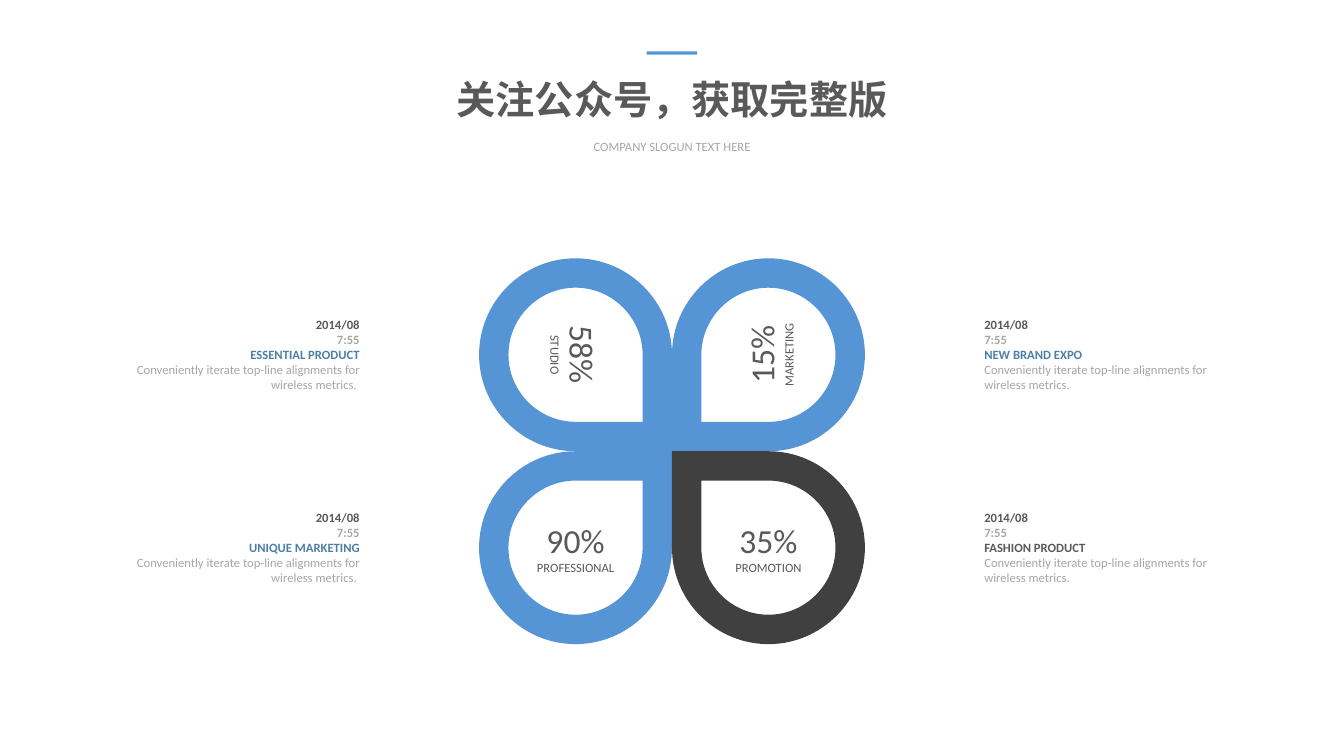
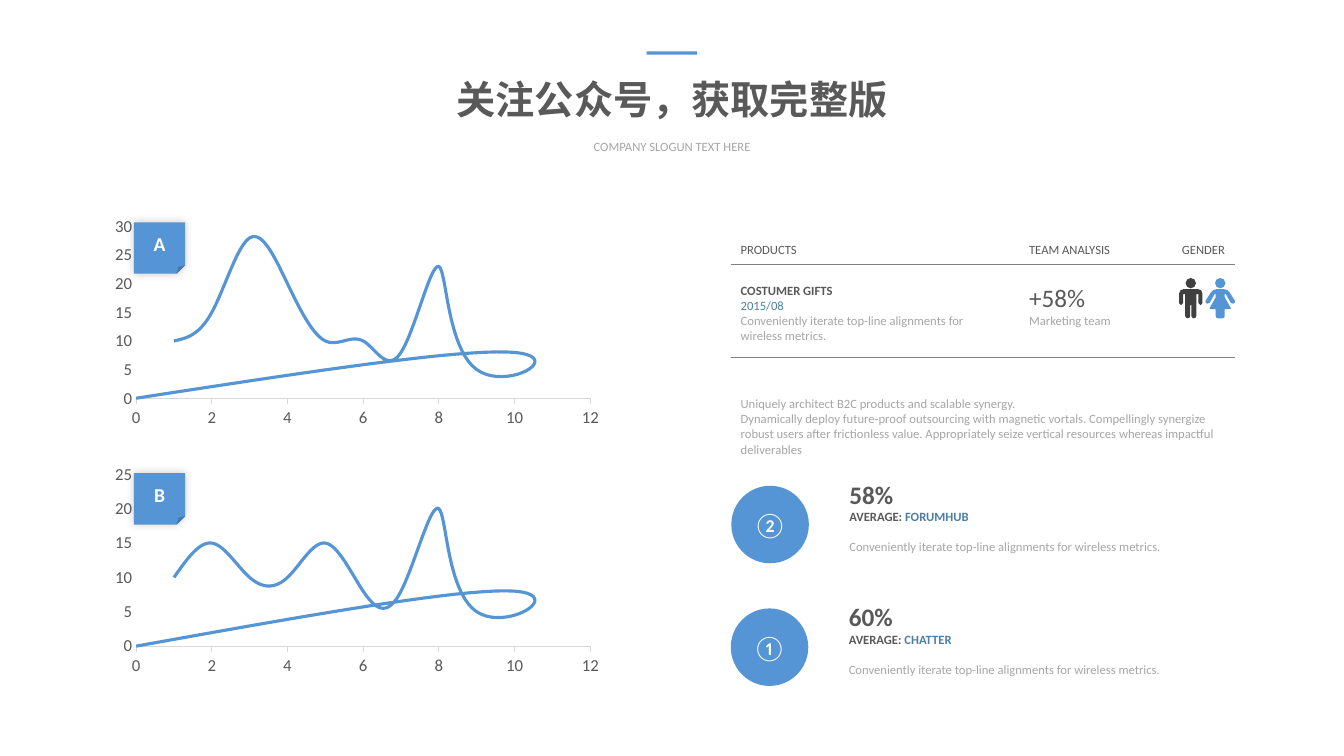
"""Build two slides: a four-petal infographic and a product analysis with charts."""
from dataclasses import dataclass
from typing import NamedTuple

from lxml.etree import SubElement
from pptx import Presentation
from pptx.chart.data import XyChartData
from pptx.dml.color import RGBColor
from pptx.enum.chart import XL_CHART_TYPE as ChartType, XL_TICK_MARK as Tick
from pptx.enum.shapes import MSO_CONNECTOR as Connector, MSO_SHAPE as Preset
from pptx.enum.text import MSO_ANCHOR as Anchor, MSO_AUTO_SIZE as AutoSize, PP_ALIGN as Align
from pptx.oxml.ns import qn
from pptx.util import Pt

FONT = "Calibri"
COLORS = {
    "blue": "5595D5",
    "accent": "4B7FA7",
    "charcoal": "404040",
    "text": "595959",
    "muted": "A6A6A6",
    "rule": "808080",
    "axis": "D9D9D9",
    "white": "FFFFFF",
    "black": "000000",
}
SLIDE_W, SLIDE_H = 960, 540
CENTER_X, CENTER_Y = 480, 322.3
PETAL, RING = 137.8, 21
ROUNDNESS = 0.55
BLURB = "Conveniently iterate top-line alignments for wireless metrics."

Segment = tuple[complex, ...]
Contour = list[Segment]


class Corner(NamedTuple):
    x: float
    y: float
    cut: float


@dataclass(frozen=True)
class Petal:
    column: int
    row: int
    percent: str
    label: str
    turn: int
    fill: str
    headline: str
    headline_color: str


@dataclass(frozen=True)
class Trend:
    letter: str
    top: float
    badge_top: float
    peak: int
    values: tuple[int, ...]


@dataclass(frozen=True)
class Average:
    left: float
    top: float
    number: str
    percent: str
    network: str


@dataclass(frozen=True)
class Person:
    center: float
    fill: str
    half_body: tuple[Corner, ...]


PETALS = (
    Petal(0, 0, "58%", "STUDIO", 90, "blue", "ESSENTIAL PRODUCT", "accent"),
    Petal(1, 0, "15%", "MARKETING", 270, "blue", "NEW BRAND EXPO", "accent"),
    Petal(0, 1, "90%", "PROFESSIONAL", 0, "blue", "UNIQUE MARKETING", "accent"),
    Petal(1, 1, "35%", "PROMOTION", 0, "charcoal", "FASHION PRODUCT", "text"),
)
TRENDS = (
    Trend("A", 151.5, 158.8, 30, (10, 15, 28, 20, 10, 10, 8, 23, 5, 8)),
    Trend("B", 328.6, 338, 25, (10, 15, 10, 10, 15, 8, 8, 20, 5, 8)),
)
AVERAGES = (
    Average(522.4, 347, "②", "58%", "FORUMHUB"),
    Average(522, 434.6, "①", "60%", "CHATTER"),
)
PEOPLE = (
    Person(850.6, "charcoal", (
        Corner(8.3, 8, 3), Corner(8.3, 19.4, 1.4), Corner(5.5, 19.4, 1.4), Corner(5.5, 11.5, 0),
        Corner(4, 11.5, 0), Corner(4, 28.8, 1.8), Corner(0.4, 28.8, 1.8), Corner(0.4, 19.4, 0),
    )),
    Person(871.6, "blue", (
        Corner(5.2, 8, 2.5), Corner(11.2, 17.4, 1.6), Corner(8.2, 19, 1.4), Corner(4, 11.5, 0),
        Corner(3.2, 11.5, 0), Corner(3.2, 13.7, 0), Corner(8, 22.3, 0.8), Corner(3.2, 22.3, 0),
        Corner(3.2, 28.8, 1.6),
    )),
)


def rgb(color: str) -> RGBColor:
    return RGBColor.from_string(COLORS[color])


def write(frame, text: str, *, size: float = 9, color: str = "text", bold: bool = False,
          align=Align.LEFT, before: float = 0, same_line: bool = False) -> None:
    if same_line or not frame.text:
        paragraph = frame.paragraphs[-1]
    else:
        paragraph = frame.add_paragraph()
    paragraph.alignment = align
    if before:
        paragraph.space_before = Pt(before)
    run = paragraph.add_run()
    run.text = text
    run.font.name = FONT
    run.font.size = Pt(size)
    run.font.bold = bold
    run.font.color.rgb = rgb(color)


def add_frame(slide, left: float, top: float, width: float, height: float, wrap: bool = True):
    frame = slide.shapes.add_textbox(Pt(left), Pt(top), Pt(width), Pt(height)).text_frame
    frame.word_wrap = wrap
    frame.auto_size = AutoSize.SHAPE_TO_FIT_TEXT
    return frame


def paint(shape, fill: str) -> None:
    shape.shadow.inherit = False
    shape.fill.solid()
    shape.fill.fore_color.rgb = rgb(fill)
    shape.line.fill.background()
    shape.text_frame.vertical_anchor = Anchor.MIDDLE


def add_preset(slide, preset, left: float, top: float, width: float, height: float):
    shape = slide.shapes.add_shape(preset, Pt(left), Pt(top), Pt(width), Pt(height))
    paint(shape, "blue")
    return shape


def add_rule(slide, left: float, right: float, y: float) -> None:
    rule = slide.shapes.add_connector(Connector.STRAIGHT, Pt(left), Pt(y), Pt(right), Pt(y))
    rule.line.color.rgb = rgb("rule")
    rule.line.width = Pt(0.25)
    SubElement(rule._element.spPr, qn("a:effectLst"))


def add_glow(shape) -> None:
    glow = SubElement(shape._element.spPr.find(qn("a:effectLst")), qn("a:outerShdw"),
                      blurRad=str(Pt(6)), dist="0", dir="18900000", algn="ctr", rotWithShape="0")
    tint = SubElement(glow, qn("a:srgbClr"), val=COLORS["black"])
    SubElement(tint, qn("a:alpha"), val="20000")


def rounded(corners: list[Corner]) -> Contour:
    tips = [complex(corner.x, corner.y) for corner in corners]
    contour: Contour = []
    for index, (tip, corner) in enumerate(zip(tips, corners)):
        if not corner.cut:
            contour.append((tip,))
            continue
        start, end = (
            tip + (other - tip) / abs(other - tip) * corner.cut
            for other in (tips[index - 1], tips[(index + 1) % len(tips)])
        )
        if not contour or abs(contour[-1][-1] - start) > 0.01:
            contour.append((start,))
        contour.append((start + (tip - start) * ROUNDNESS, end + (tip - end) * ROUNDNESS, end))
    return contour


def rounded_square(left: float, top: float, side: float, sharp: int = -1) -> Contour:
    places = ((0, 0), (1, 0), (1, 1), (0, 1))
    return rounded([
        Corner(left + x * side, top + y * side, 0 if index == sharp else side / 2)
        for index, (x, y) in enumerate(places)
    ])


def bend(shape, contours: list[Contour]) -> None:
    outline = next(shape._element.iter(qn("a:path")))
    nodes = iter(list(outline))
    for contour in contours:
        for segment in contour:
            steps = [next(nodes) for _ in segment]
            if len(steps) == 3:
                curve = outline.makeelement(qn("a:cubicBezTo"))
                steps[0].addprevious(curve)
                for step in steps:
                    curve.append(step[0])
                    outline.remove(step)
        next(nodes)


def add_outline(slide, contours: list[Contour], fill: str):
    builder = None
    for contour in contours:
        first, *rest = [(Pt(p.real), Pt(p.imag)) for segment in contour for p in segment]
        if builder is None:
            builder = slide.shapes.build_freeform(*first)
        else:
            builder.move_to(*first)
        builder.add_line_segments(rest, close=True)
    shape = builder.convert_to_shape()
    bend(shape, contours)
    paint(shape, fill)
    return shape


def add_heading(slide) -> None:
    add_preset(slide, Preset.RECTANGLE, CENTER_X - 18, 36.8, 36, 2.2)
    slogan = add_frame(slide, 416, 95.8, 128, 18, wrap=False)
    write(slogan, "COMPANY SLOGUN TEXT HERE", color="muted", align=Align.CENTER)
    title = add_frame(slide, 317.5, 50.4, 325, 41, wrap=False)
    write(title, "关注公众号，获取完整版", size=28, bold=True, align=Align.CENTER)


def add_petal(slide, petal: Petal) -> None:
    left = CENTER_X + (petal.column - 1) * PETAL
    top = CENTER_Y + (petal.row - 1) * PETAL
    sharp = 1 - petal.column
    leaf = add_outline(slide, [
        rounded_square(left, top, PETAL, sharp),
        rounded_square(left + RING, top + RING, PETAL - 2 * RING, sharp),
    ], petal.fill)
    leaf.rotation = petal.turn
    write(leaf.text_frame, petal.percent, size=24, align=Align.CENTER)
    write(leaf.text_frame, petal.label, align=Align.CENTER)

    event = add_frame(slide, (75.3, 696)[petal.column], 222.6 + petal.row * PETAL, 188.6, 62)
    align, ending = ((Align.RIGHT, " "), (Align.LEFT, ""))[petal.column]
    write(event, "2014/08", bold=True, align=align)
    write(event, "7:55", color="muted", bold=True, align=align)
    write(event, petal.headline, color=petal.headline_color, bold=True, align=align)
    write(event, BLURB + ending, color="muted", align=align)


def style_axis(axis, peak: int, step: int, tick) -> None:
    axis.minimum_scale, axis.maximum_scale, axis.major_unit = 0, peak, step
    axis.has_major_gridlines = False
    axis.major_tick_mark, axis.minor_tick_mark = tick, Tick.NONE
    axis.tick_labels.font.name = FONT
    axis.tick_labels.font.size = Pt(12)
    axis.tick_labels.font.color.rgb = rgb("text")


def add_trend(slide, trend: Trend) -> None:
    data = XyChartData()
    points = data.add_series("Series 1")
    for x, y in (*enumerate(trend.values, 1), (0, 0)):
        points.add_data_point(x, y)
    chart = slide.shapes.add_chart(ChartType.XY_SCATTER_SMOOTH_NO_MARKERS, Pt(75), Pt(trend.top),
                                   Pt(360), Pt(157.5), data).chart
    chart.has_title = chart.has_legend = False
    chart.font.name = FONT
    chart.font.size = Pt(10)
    chart.plots[0].vary_by_categories = False
    curve = chart.plots[0].series[0]
    curve.format.line.color.rgb = rgb("blue")
    curve.format.line.width = Pt(2.25)
    curve._element.find(qn("c:smooth")).set("val", "1")
    style_axis(chart.category_axis, 12, 2, Tick.OUTSIDE)
    chart.category_axis.format.line.color.rgb = rgb("axis")
    chart.category_axis.format.line.width = Pt(0.75)
    style_axis(chart.value_axis, trend.peak, 5, Tick.NONE)
    chart.value_axis.format.line.fill.background()

    badge = add_preset(slide, Preset.FOLDED_CORNER, 95.6, trend.badge_top, 36.7, 36.7)
    add_glow(badge)
    write(badge.text_frame, trend.letter, size=14, color="white", bold=True, align=Align.CENTER)


def add_person(slide, person: Person, top: float) -> None:
    left_half, right_half = (
        [Corner(person.center + side * x, top + y, cut) for x, y, cut in person.half_body]
        for side in (-1, 1)
    )
    head = rounded_square(person.center - 3.7, top, 7.4)
    add_outline(slide, [rounded(left_half + right_half[::-1]), head], person.fill)


def add_product_row(slide) -> None:
    for column, left, width in (("PRODUCTS", 522, 55), ("TEAM ANALYSIS", 728, 73.4), ("GENDER", 837.2, 45.4)):
        write(add_frame(slide, left, 169.2, width, 18, wrap=False), column)
    for y in (188.9, 255.1):
        add_rule(slide, 522, 882, y)
    product = add_frame(slide, 522, 198.4, 185, 51)
    write(product, "COSTUMER GIFTS", bold=True)
    write(product, "2015/08", color="accent")
    write(product, BLURB, color="muted")
    team = add_frame(slide, 728, 198.4, 74.2, 40.3, wrap=False)
    write(team, "+58%", size=18)
    write(team, "Marketing team", color="muted")
    for person in PEOPLE:
        add_person(slide, person, 198.6)


def add_average(slide, average: Average) -> None:
    disc = add_preset(slide, Preset.OVAL, average.left, average.top, 55.4, 55.4)
    write(disc.text_frame, average.number, size=18, color="white", align=Align.CENTER)
    detail = add_frame(slide, average.left + 77.2, average.top - 8.5, 238.3, 72.7)
    write(detail, average.percent, size=18, bold=True)
    write(detail, "AVERAGE: ", bold=True)
    write(detail, average.network, color="accent", bold=True, same_line=True)
    write(detail, BLURB, color="muted", before=10.6)


def main() -> None:
    deck = Presentation()
    deck.slide_width, deck.slide_height = Pt(SLIDE_W), Pt(SLIDE_H)
    petals_slide, analysis_slide = (deck.slides.add_slide(deck.slide_layouts[6]) for _ in range(2))
    for petal in PETALS:
        add_petal(petals_slide, petal)
    for trend in TRENDS:
        add_trend(analysis_slide, trend)
    add_product_row(analysis_slide)
    summary = add_frame(analysis_slide, 522, 279.3, 365, 51)
    write(summary, "Uniquely architect B2C products and scalable synergy.", color="muted")
    write(summary, "Dynamically deploy future-proof outsourcing with magnetic vortals. Compellingly synergize "
          "robust users after frictionless value. Appropriately seize vertical resources whereas impactful "
          "deliverables", color="muted")
    for average in AVERAGES:
        add_average(analysis_slide, average)
    for slide in deck.slides:
        add_heading(slide)
    deck.save("out.pptx")


if __name__ == "__main__":
    main()
